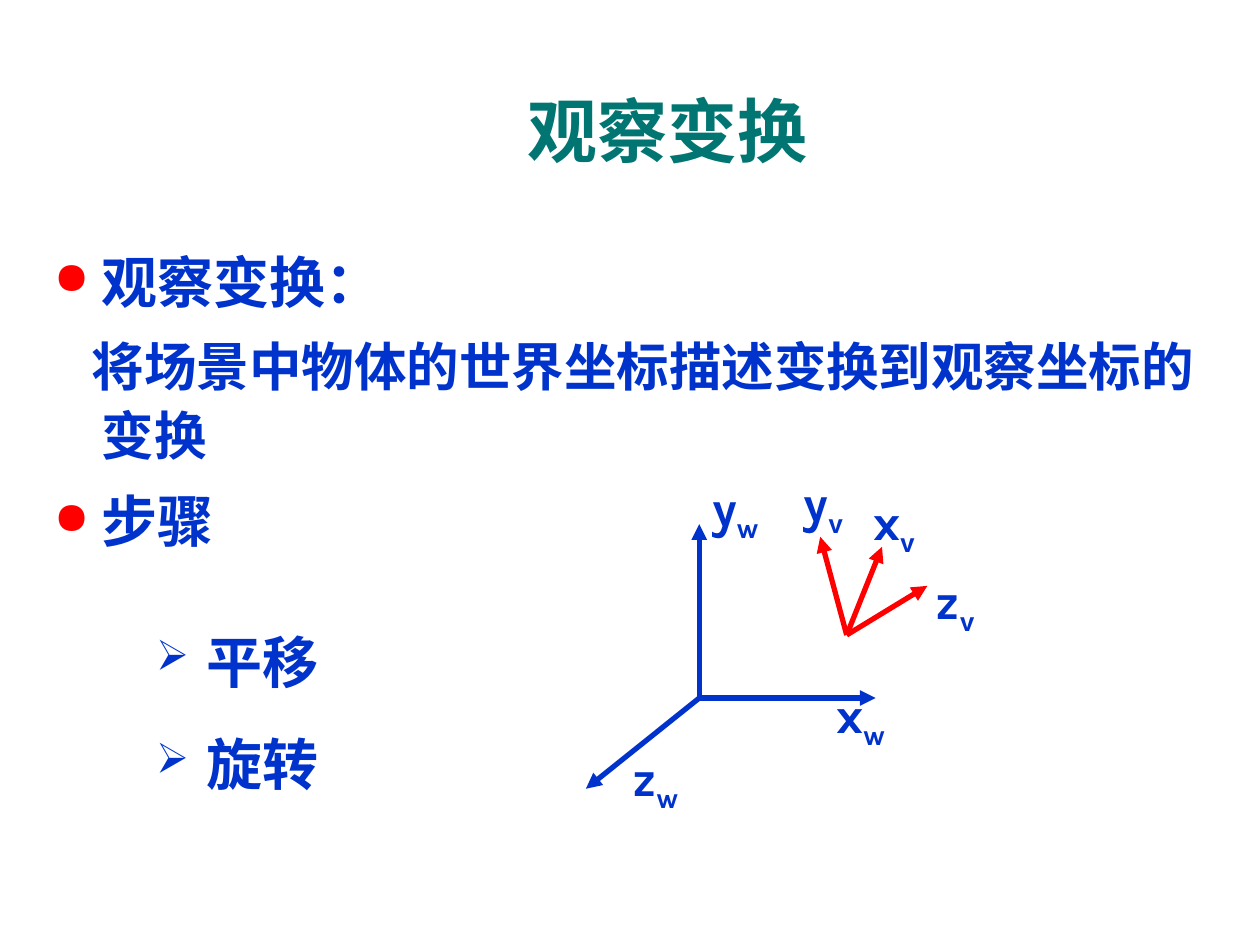
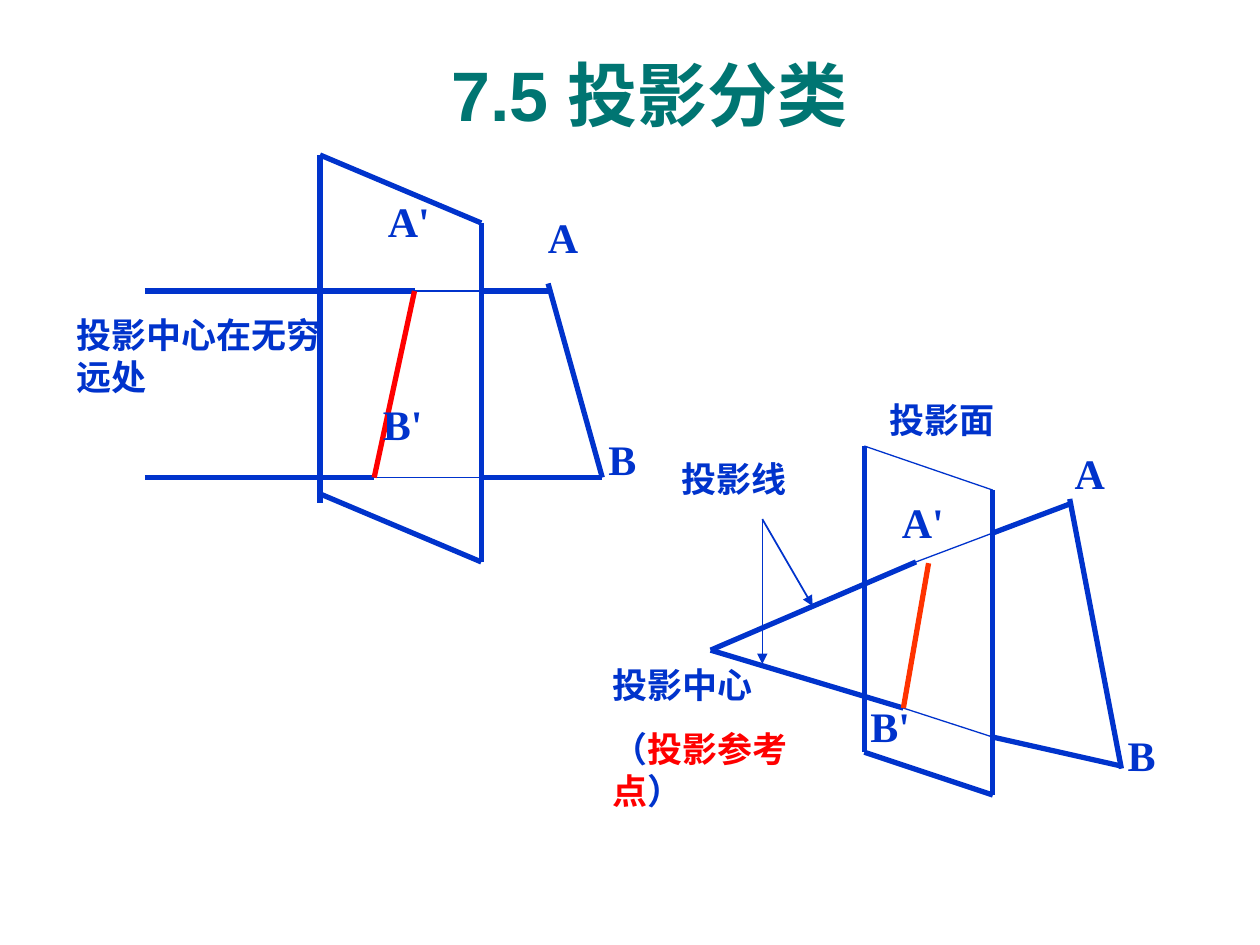
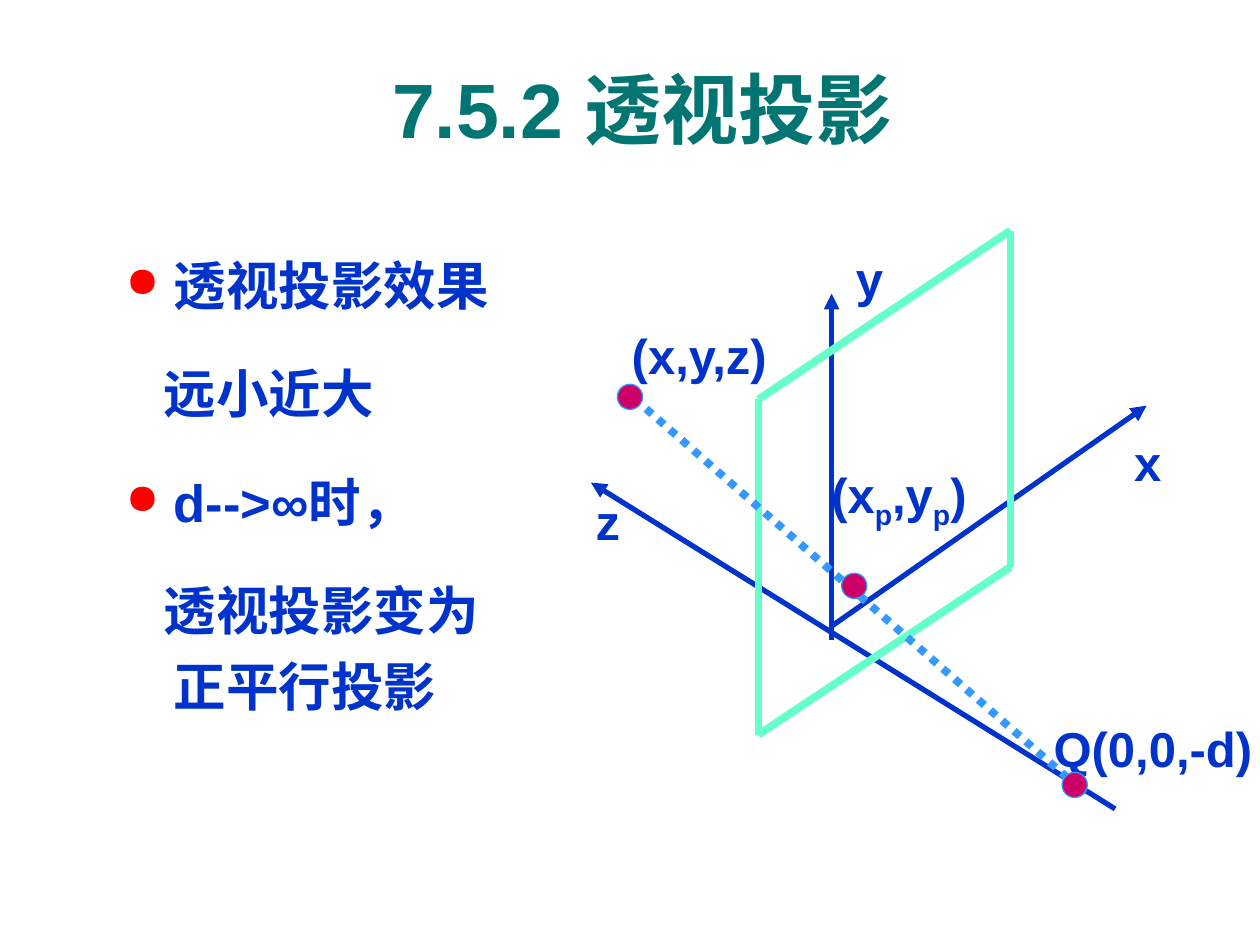
from dataclasses import dataclass
from typing import NamedTuple

from lxml.etree import SubElement
from pptx import Presentation
from pptx.dml.color import RGBColor
from pptx.enum.dml import MSO_LINE
from pptx.enum.shapes import MSO_CONNECTOR, MSO_SHAPE
from pptx.enum.text import MSO_ANCHOR, MSO_AUTO_SIZE, PP_ALIGN
from pptx.oxml.ns import qn
from pptx.util import Inches, Pt

# All places are given on a grid of 100 columns by 75 rows.
COLUMNS, ROWS = 100, 75
CELL = Inches(0.1)
TITLE_ONLY = 5

TEAL, BLUE, RED, ORANGE = "007572", "0033CC", "FF0000", "FF3300"
MINT, SKY, MAGENTA = "66FFCC", "3399FF", "CC0066"
SANS, SERIF, AXIS_FONT = "Arial", "Times New Roman", "Karla"
THICK, HAIRLINE, HEAVY = 3, 0.75, 4.5


class Point(NamedTuple):
    column: float
    row: float


class Frame(NamedTuple):
    left: float
    top: float
    width: float
    height: float


@dataclass(frozen=True)
class Span:
    text: str
    color: str | None = None
    subscript: bool = False


@dataclass(frozen=True)
class Bullet:
    mark: str
    color: str
    percent: int


@dataclass(frozen=True)
class Para:
    spans: tuple[Span, ...]
    size: float | None = None
    before: float = 0
    bullet: Bullet | None = None
    left: float = 0
    hanging: float = 0


class Label(NamedTuple):
    spans: tuple[Span, ...]
    frame: Frame


DOT = Bullet("●", RED, 80)
ARROW = Bullet("➢", BLUE, 75)


def cells(*counts: float) -> list[int]:
    return [round(count * CELL) for count in counts]


def rgb(color: str) -> RGBColor:
    return RGBColor.from_string(color)


def plain(text: str, **options) -> Para:
    return Para((Span(text),), **options)


def point_item(text: str, size: float, before: float) -> Para:
    return plain(text, size=size, before=before, bullet=DOT, left=3.8, hanging=3.8)


def point_detail(text: str, size: float, before: float) -> Para:
    return plain(text, size=size, before=before, left=3.8, hanging=0.8)


def indexed(name: str, index: str) -> tuple[Span, ...]:
    return Span(name), Span(index, subscript=True)


def set_bullet(properties, bullet: Bullet) -> None:
    color = SubElement(properties, qn("a:buClr"))
    SubElement(color, qn("a:srgbClr"), val=bullet.color)
    SubElement(properties, qn("a:buSzPct"), val=str(bullet.percent * 1000))
    SubElement(properties, qn("a:buChar"), char=bullet.mark)


def write_text(frame, paras: list[Para], *, size: float, font: str = SANS,
               color: str = BLUE, align=PP_ALIGN.LEFT, spacing: float | None = None,
               anchor=MSO_ANCHOR.TOP, wrap: bool = True, inset: bool = True) -> None:
    """Fill a text frame; spans and paragraphs may override colour and size."""
    frame.auto_size = MSO_AUTO_SIZE.NONE
    frame.word_wrap = wrap
    frame.vertical_anchor = anchor
    if not inset:
        frame.margin_left = frame.margin_right = frame.margin_top = frame.margin_bottom = 0
    for index, item in enumerate(paras):
        para = frame.add_paragraph() if index else frame.paragraphs[0]
        properties = para._p.get_or_add_pPr()
        if item.left:
            properties.set("marL", str(cells(item.left)[0]))
            properties.set("indent", str(cells(-item.hanging)[0]))
        if item.bullet:
            set_bullet(properties, item.bullet)
        para.alignment = align
        if spacing:
            para.line_spacing = spacing
        if index:
            para.space_before = Pt(item.before)
        for span in item.spans:
            run = para.add_run()
            run.text = span.text
            run.font.name = font
            run.font.size = Pt(item.size or size)
            run.font.bold = True
            run.font.color.rgb = rgb(span.color or color)
            if span.subscript:
                run.font._element.set("baseline", "-25000")


def add_text(slide, frame: Frame, paras: list[Para], **options) -> None:
    box = slide.shapes.add_textbox(*cells(*frame))
    write_text(box.text_frame, paras, **options)


def add_titled_slide(deck, text: str, frame: Frame, size: float = 40):
    slide = deck.slides.add_slide(deck.slide_layouts[TITLE_ONLY])
    title = slide.shapes.title
    title.left, title.top, title.width, title.height = cells(*frame)
    write_text(title.text_frame, [plain(text)], size=size, color=TEAL,
               align=PP_ALIGN.CENTER, anchor=MSO_ANCHOR.MIDDLE)
    return slide


def add_path(slide, *points: Point, color: str = BLUE, weight: float = THICK,
             arrow: bool = False, dash=None) -> None:
    """Join successive points with straight lines."""
    for start, end in zip(points, points[1:]):
        line = slide.shapes.add_connector(MSO_CONNECTOR.STRAIGHT, *cells(*start, *end))
        line.line.color.rgb = rgb(color)
        line.line.width = Pt(weight)
        if dash:
            line.line.dash_style = dash
        if arrow:
            SubElement(line.line._get_or_add_ln(), qn("a:tailEnd"), type="triangle")
        SubElement(line._element.spPr, qn("a:effectLst"))


def add_axis_labels(slide, labels: list[Label], font: str) -> None:
    for label in labels:
        add_text(slide, label.frame, [Para(label.spans)], size=28, font=font,
                 align=PP_ALIGN.CENTER, anchor=MSO_ANCHOR.MIDDLE, wrap=False, inset=False)


def add_ray(slide, start: Point, image: Point, plane_edge: Point, end: Point) -> None:
    """Draw a projection ray, thin where the plane hides it."""
    add_path(slide, start, image)
    add_path(slide, image, plane_edge, weight=HAIRLINE)
    add_path(slide, plane_edge, end)


def add_dot(slide, center: Point, diameter: float = 2) -> None:
    radius = diameter / 2
    dot = slide.shapes.add_shape(MSO_SHAPE.OVAL, *cells(
        center.column - radius, center.row - radius, diameter, diameter))
    dot.shadow.inherit = False
    dot.fill.solid()
    dot.fill.fore_color.rgb = rgb(MAGENTA)
    dot.line.color.rgb = rgb(SKY)
    dot.line.width = Pt(HAIRLINE)


def build_viewing_transform(deck) -> None:
    slide = add_titled_slide(deck, "观察变换", Frame(12.8, 6.4, 80.3, 7.7))
    add_text(slide, Frame(3.3, 18.6, 93.4, 28.4), [
        point_item("观察变换：", 32, 8),
        point_detail("将场景中物体的世界坐标描述变换到观察坐标的变换", 30, 7.5),
        point_item("步骤", 32, 8),
    ], size=32, spacing=1.1)

    world, view = Point(55.5, 55.4), Point(67.2, 50.4)
    for tip in (Point(55.5, 41.6), Point(69.5, 55.4), Point(46.5, 62.6)):
        add_path(slide, world, tip, arrow=True)
    for tip in (Point(65.1, 42.6), Point(70, 43.4), Point(73.6, 46.5)):
        add_path(slide, view, tip, color=RED, arrow=True)
    add_axis_labels(slide, [
        Label(indexed(name, system), Frame(left, top, width, 5.3))
        for name, system, left, top, width in (
            ("x", "w", 66.2, 54.3, 4.2), ("y", "w", 56.3, 37.9, 4.1),
            ("z", "w", 50.1, 59.3, 3.8), ("x", "v", 69.2, 39, 3.5),
            ("y", "v", 63.6, 37.5, 3.5), ("z", "v", 74.2, 45.3, 3.2))
    ], AXIS_FONT)

    add_text(slide, Frame(11.4, 49.3, 24.4, 14.5), [
        plain(step, before=20, bullet=ARROW, left=4, hanging=4) for step in ("平移", "旋转")
    ], size=32, font=SERIF)


def build_projection_kinds(deck) -> None:
    slide = add_titled_slide(deck, "7.5 投影分类", Frame(11.4, 3.6, 80.3, 7.7))

    # Parallel projection
    near, far = 25.4, 38.2
    add_path(slide, Point(near, 39.9), Point(near, 12.3), Point(far, 17.7),
             Point(far, 44.6), Point(near, 39.2))
    add_path(slide, Point(43.5, 22.5), Point(47.8, 37.9))
    for row, image, end in ((23.1, 32.9, 43.5), (37.9, 29.7, 47.8)):
        add_ray(slide, *(Point(column, row) for column in (11.5, image, far, end)))
    add_path(slide, Point(32.9, 23.1), Point(29.7, 37.9), color=RED)

    # Perspective projection
    near, far, eye = 68.6, 78.8, Point(56.4, 51.6)
    add_path(slide, Point(near, 35.4), Point(far, 38.9), weight=HAIRLINE)
    add_path(slide, Point(near, 35.4), Point(near, 59.7), Point(far, 63.1), Point(far, 38.9))
    add_path(slide, Point(84.9, 39.6), Point(89, 61))
    add_ray(slide, eye, Point(72.7, 44.6), Point(far, 42.3), Point(84.9, 40))
    add_ray(slide, eye, Point(71.7, 56.2), Point(far, 58.5), Point(89, 60.8))
    add_path(slide, Point(73.7, 44.7), Point(71.7, 56.2), color=ORANGE)
    pointer = Point(60.5, 41.2)
    add_path(slide, pointer, Point(64.5, 48.1), weight=1, arrow=True)
    add_path(slide, pointer, Point(60.5, 52.7), weight=HAIRLINE, arrow=True)

    for name, left, top, width in (
            ("A", 42.5, 16.3, 4.3), ("B", 47.3, 33.9, 4.3),
            ("A'", 29.8, 15, 8.4), ("B'", 29.4, 31.1, 6.7),
            ("A", 84.3, 35, 5.1), ("B", 88.5, 57.4, 4.1),
            ("A'", 70.6, 38.9, 15.3), ("B'", 68.1, 55.1, 7.6)):
        add_text(slide, Frame(left, top, width, 5), [plain(name)], size=24, font=SERIF)

    reference = Para((Span("（"), Span("投影参考点", RED), Span("）")), before=12.5)
    for frame, paras in (
            (Frame(5.1, 24.4, 23.5, 7.7), [plain("投影中心在无穷远处")]),
            (Frame(47.6, 52.2, 18.9, 12.8), [plain("投影中心"), reference]),
            (Frame(53.1, 35.8, 17.3, 4.4), [plain("投影线")]),
            (Frame(69.6, 31.1, 13.2, 4.4), [plain("投影面")])):
        add_text(slide, frame, paras, size=20, font=SERIF)


def build_perspective(deck) -> None:
    slide = add_titled_slide(deck, "7.5.2 透视投影", Frame(4.3, 4.4, 93.4, 8.3), size=44)
    add_text(slide, Frame(9, 18.6, 33.1, 38.8), [
        point_item("透视投影效果", 30, 18.7),
        point_detail("远小近大", 30, 18.7),
        point_item("d-->∞时，", 30, 18.7),
        point_detail("透视投影变为正平行投影", 30, 18.7),
    ], size=30, spacing=1.2)

    for start, tip in ((Point(66, 50.8), Point(66, 23.3)),
                       (Point(66, 49.7), Point(91, 32.2)),
                       (Point(88.5, 64.2), Point(46.9, 38.3))):
        add_path(slide, start, tip, arrow=True)
    corner = Point(60.2, 31.7)
    add_path(slide, corner, Point(80.2, 18.3), Point(80.2, 45), Point(60.2, 58.3), corner,
             color=MINT, weight=HEAVY)
    add_path(slide, Point(49.4, 30.8), Point(85.6, 62.5),
             color=SKY, weight=HEAVY, dash=MSO_LINE.ROUND_DOT)

    add_axis_labels(slide, [
        Label((Span(text),), Frame(left, top, width, 4.7))
        for text, left, top, width in (
            ("x", 90, 34.3, 2.2), ("y", 67.9, 19.7, 2.2), ("z", 47.3, 39, 1.9),
            ("(x,y,z)", 50, 25.8, 11), ("Q(0,0,-d)", 83.6, 57, 15.8))
    ] + [
        Label((*indexed("(x", "p"), *indexed(",y", "p"), Span(")")),
              Frame(66, 36.3, 10.7, 6.4))
    ], SANS)
    for center in (Point(50, 31.5), Point(67.8, 46.5), Point(85.3, 62.3)):
        add_dot(slide, center)


def main() -> None:
    deck = Presentation()
    deck.slide_width, deck.slide_height = cells(COLUMNS, ROWS)
    build_viewing_transform(deck)
    build_projection_kinds(deck)
    build_perspective(deck)
    deck.save("out.pptx")


if __name__ == "__main__":
    main()
